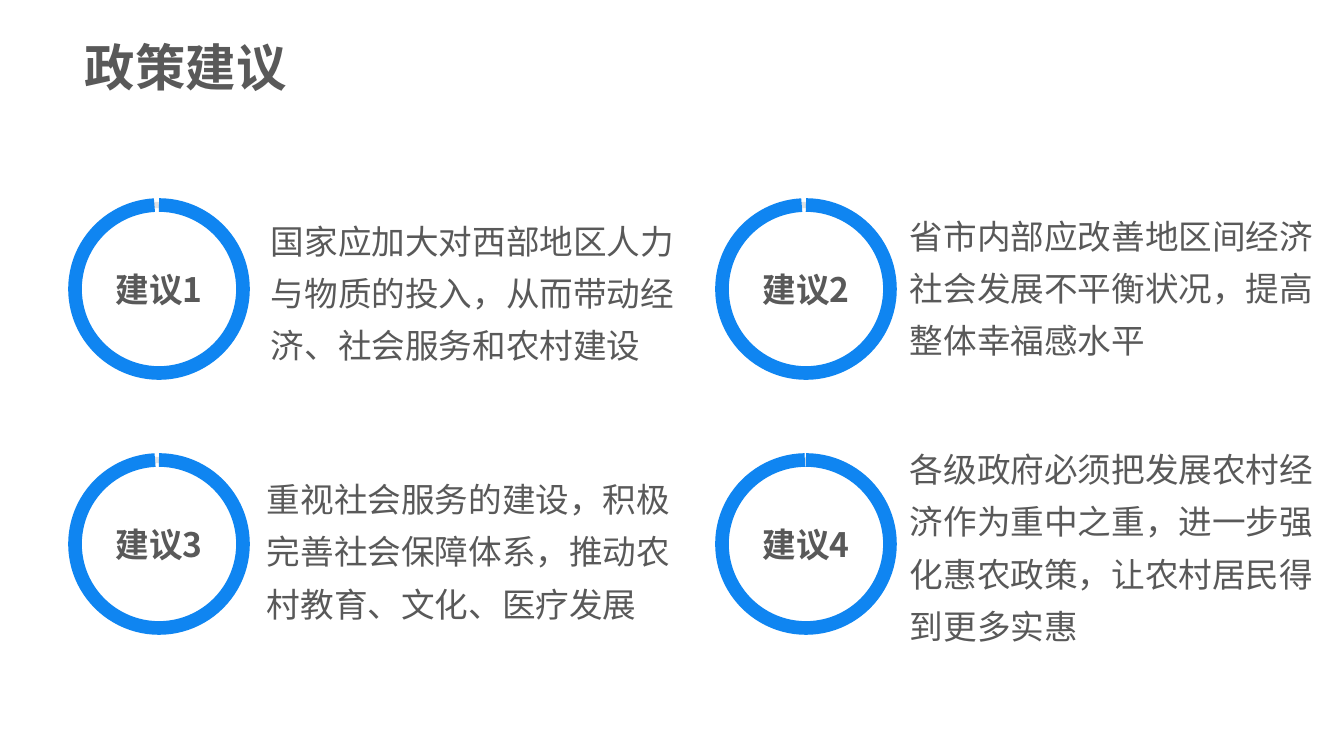
from lxml.etree import SubElement
from pptx import Presentation
from pptx.dml.color import RGBColor
from pptx.enum.shapes import MSO_SHAPE as Shape
from pptx.enum.text import MSO_ANCHOR as Anchor, MSO_AUTO_SIZE as AutoSize, PP_ALIGN as Align
from pptx.oxml.ns import qn
from pptx.util import Emu, Pt

PX_PER_INCH = 100.8
FONT = "Noto Sans CJK SC"
GREY, BLUE, SLATE = "595959", "0F85F1", "434F5A"

RING_SIZE = 168
RING_LEFTS = (75, 722)
RING_TOPS = (205, 460)
ARC_START = 162

# Label, end of the arc, advice, place of the advice; row by row
ADVICE = [
    ("建议1", 160.13, "国家应加大对西部地区人力与物质的投入，从而带动经济、社会服务和农村建设",
     (267, 191, 414, 192)),
    ("建议2", 160.27, "省市内部应改善地区间经济社会发展不平衡状况，提高整体幸福感水平",
     (906, 198, 414, 168)),
    ("建议3", 160.39, "重视社会服务的建设，积极完善社会保障体系，推动农村教育、文化、医疗发展",
     (263, 471, 414, 149)),
    ("建议4", 161.54, "各级政府必须把发展农村经济作为重中之重，进一步强化惠农政策，让农村居民得到更多实惠",
     (906, 432, 414, 219)),
]


def px(length):
    return Emu(round(length * 914400 / PX_PER_INCH))


def color(value):
    return RGBColor.from_string(value)


def write(frame, text, size, bold=False, align=Align.LEFT, spacing=1.0):
    paragraph = frame.paragraphs[0]
    paragraph.text = text
    paragraph.alignment = align
    paragraph.line_spacing = spacing
    font = paragraph.font
    font.size, font.bold, font.name = Pt(size), bold, FONT
    font.color.rgb = color(GREY)
    # East Asian typeface
    for properties in paragraph._p.iter(qn("a:defRPr")):
        SubElement(properties, qn("a:ea"), typeface=FONT)


def add_outline(slide, kind, box, line_color, width):
    shape = slide.shapes.add_shape(kind, *map(px, box))
    shape.shadow.inherit = False
    shape.fill.background()
    shape.line.color.rgb = color(line_color)
    shape.line.width = Pt(width)
    return shape


def add_ring(slide, left, top, label, arc_end):
    box = (left, top, RING_SIZE, RING_SIZE)
    # Faint circle that carries the label
    circle = add_outline(slide, Shape.OVAL, box, SLATE, 4.5)
    for line_color in circle.line._ln.iter(qn("a:srgbClr")):
        SubElement(line_color, qn("a:alpha"), val="16000")
    circle.text_frame.vertical_anchor = Anchor.MIDDLE
    write(circle.text_frame, label, 24, bold=True, align=Align.CENTER)
    # Blue arc over it
    arc = add_outline(slide, Shape.ARC, box, BLUE, 9.75)
    arc.adjustments[0] = ARC_START
    arc.adjustments[1] = arc_end


def add_text_box(slide, box):
    frame = slide.shapes.add_textbox(*map(px, box)).text_frame
    frame.word_wrap = True
    return frame


def add_title(slide, text):
    frame = add_text_box(slide, (75, 1, 510, 102))
    frame.auto_size = AutoSize.SHAPE_TO_FIT_TEXT
    write(frame, text, 36, bold=True, spacing=1.5)


def add_advice(slide, text, box):
    frame = add_text_box(slide, box)
    frame.vertical_anchor = Anchor.MIDDLE
    frame.margin_left = px(4)
    frame.margin_top = frame.margin_right = frame.margin_bottom = 0
    write(frame, text, 24, spacing=1.3)


def main():
    presentation = Presentation()
    presentation.slide_width, presentation.slide_height = px(1344), px(756)
    slide = presentation.slides.add_slide(presentation.slide_layouts[6])

    add_title(slide, "政策建议")

    # Two by two grid of rings, each with its advice
    for index, (label, arc_end, text, box) in enumerate(ADVICE):
        row, column = divmod(index, 2)
        add_ring(slide, RING_LEFTS[column], RING_TOPS[row], label, arc_end)
        add_advice(slide, text, box)

    presentation.save("out.pptx")


if __name__ == "__main__":
    main()
